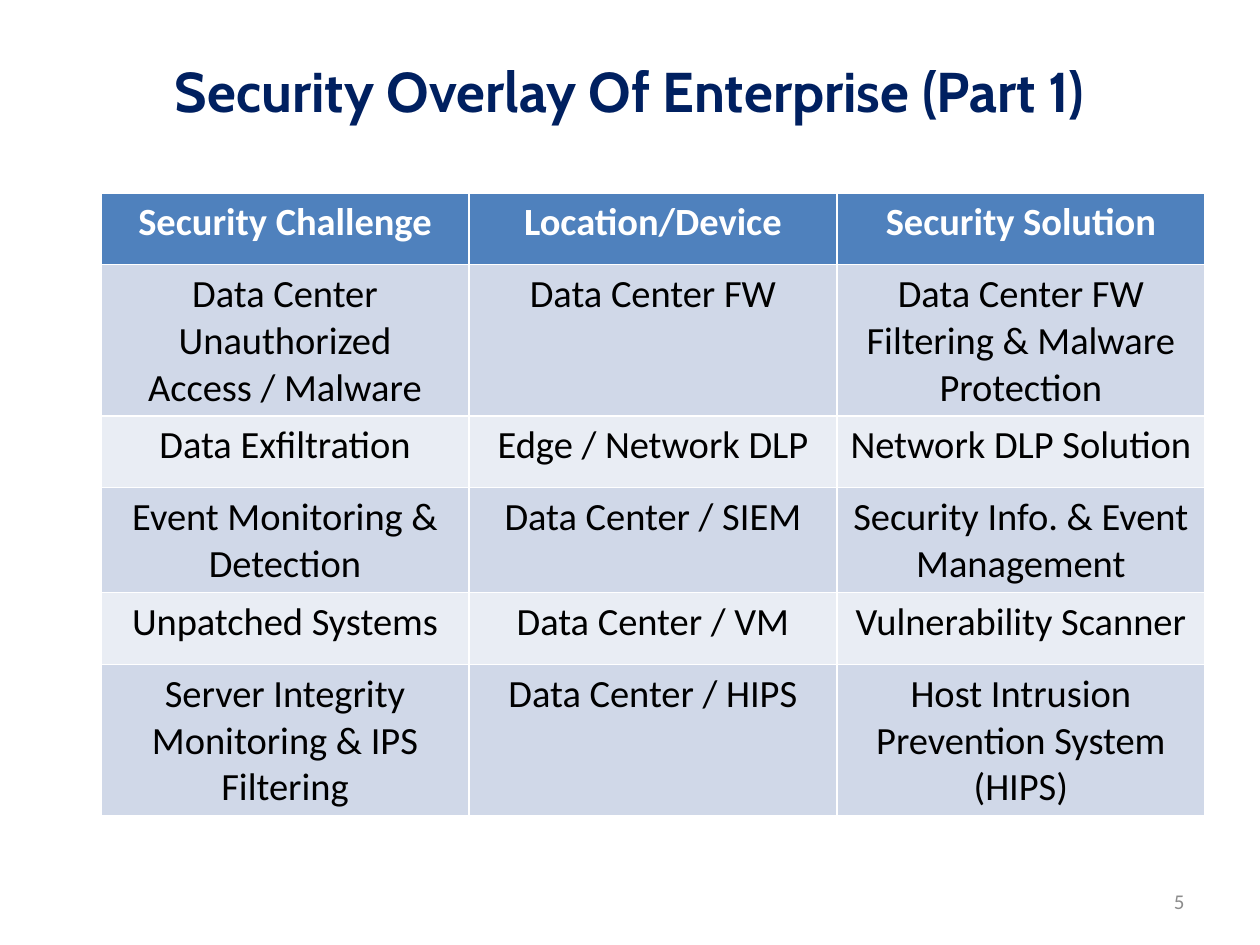
from pptx import Presentation
from pptx.dml.color import RGBColor as RGB
from pptx.enum.text import MSO_ANCHOR as Anchor, PP_ALIGN as Align
from pptx.util import Pt

# Content
TITLE = "Security Overlay Of Enterprise (Part 1)"
PAGE = "5"
HEAD = ("Security Challenge", "Location/Device", "Security Solution")
ROWS = [
    ("Data Center Unauthorized Access / Malware", "Data Center FW",
     "Data Center FW Filtering & Malware Protection"),
    ("Data Exfiltration", "Edge / Network DLP", "Network DLP Solution"),
    ("Event Monitoring & Detection", "Data Center / SIEM",
     "Security Info. & Event Management"),
    ("Unpatched Systems", "Data Center / VM", "Vulnerability Scanner"),
    ("Server Integrity Monitoring & IPS Filtering", "Data Center / HIPS",
     "Host Intrusion Prevention System (HIPS)"),
]


class Theme:
    title_font, body_font = "Cabin", "Calibri"
    title_size, cell_size, page_size = 32, 22, 12
    navy, gray = "002060", "8C8C8C"
    white, black = "FFFFFF", "000000"
    head_fill = "4F81BD"
    bands = ("D0D8E8", "E9EDF4")


# Places, in points
TITLE_BOX = (36, 16.5, 648, 70.5)
PAGE_BOX = (516, 500.5, 168, 28.75)
LEFT, TOP = 57.75, 110.25
COL_W, ROW_H = 210.25, 41


def style(para, face, size, color, bold=False, align=Align.CENTER):
    para.alignment = align
    font = para.font
    font.name, font.size, font.bold = face, Pt(size), bold
    font.color.rgb = RGB.from_string(color)


def add_text(slide, box, text, *look, **more):
    frame = slide.shapes.add_textbox(*map(Pt, box)).text_frame
    frame.word_wrap = True
    frame.vertical_anchor = Anchor.MIDDLE
    frame.text = text
    style(frame.paragraphs[0], *look, **more)


def add_grid(slide):
    data = [HEAD, *ROWS]
    # The default table style supplies the white rules
    grid = slide.shapes.add_table(
        len(data), len(HEAD), Pt(LEFT), Pt(TOP),
        Pt(COL_W * len(HEAD)), Pt(ROW_H * len(data))).table
    for r, row in enumerate(data):
        top = r == 0
        fill = Theme.head_fill if top else Theme.bands[(r - 1) % 2]
        ink = Theme.white if top else Theme.black
        for c, text in enumerate(row):
            cell = grid.cell(r, c)
            cell.text = text
            cell.fill.solid()
            cell.fill.fore_color.rgb = RGB.from_string(fill)
            style(cell.text_frame.paragraphs[0], Theme.body_font,
                  Theme.cell_size, ink, bold=top)


def main():
    deck = Presentation()
    deck.slide_width, deck.slide_height = Pt(720), Pt(540)
    slide = deck.slides.add_slide(deck.slide_layouts[6])

    # Page number
    add_text(slide, PAGE_BOX, PAGE, Theme.body_font, Theme.page_size,
             Theme.gray, align=Align.RIGHT)
    # Title
    add_text(slide, TITLE_BOX, TITLE, Theme.title_font, Theme.title_size,
             Theme.navy, bold=True)
    # Challenges and solutions
    add_grid(slide)

    deck.save("out.pptx")


if __name__ == "__main__":
    main()
